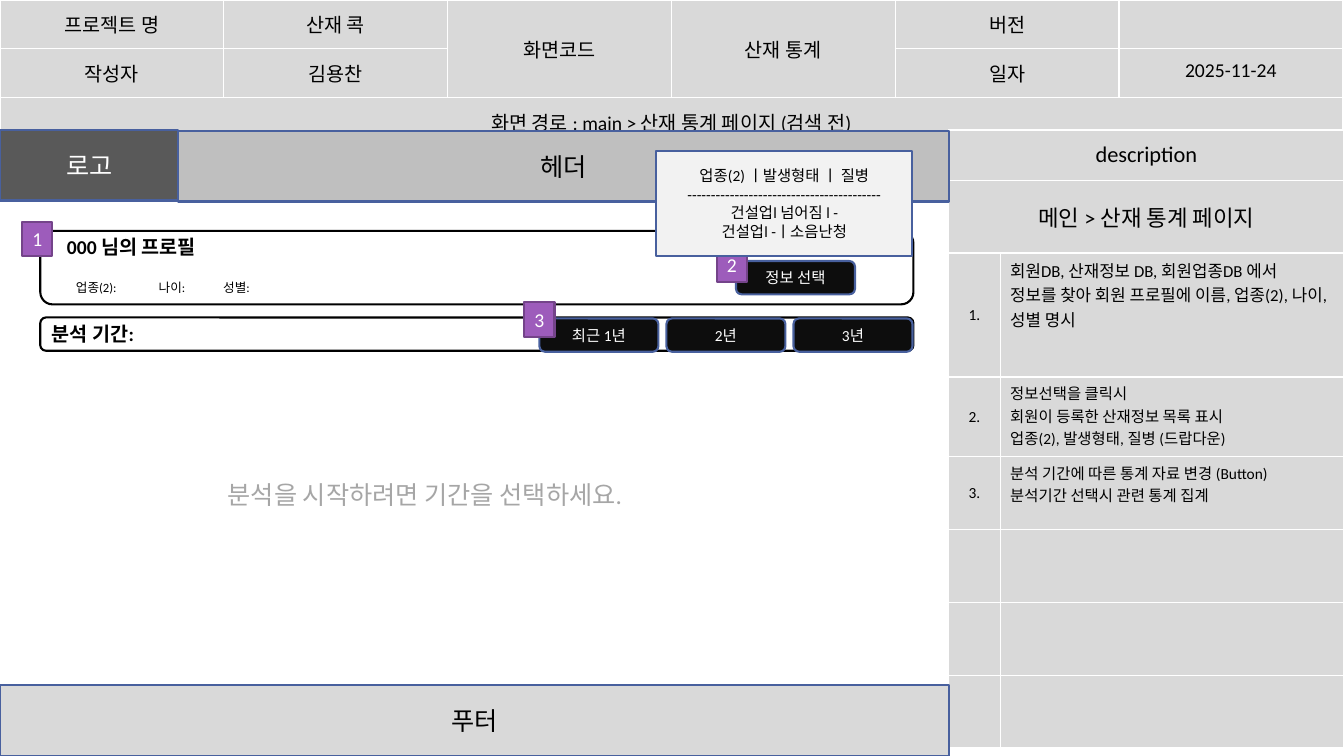
import dataclasses

import lxml.etree
import pptx
import pptx.dml.color
import pptx.enum.shapes
import pptx.enum.text
import pptx.oxml.ns
import pptx.util

Inches = pptx.util.Inches
Pt = pptx.util.Pt
Align = pptx.enum.text.PP_ALIGN
Anchor = pptx.enum.text.MSO_ANCHOR
Kind = pptx.enum.shapes.MSO_SHAPE
qn = pptx.oxml.ns.qn


@dataclasses.dataclass(frozen=True)
class Theme:
    font: str = "Calibri"
    black: str = "000000"
    white: str = "FFFFFF"
    cell: str = "D9D9D9"
    head: str = "BFBFBF"
    logo: str = "595959"
    button: str = "0D0D0D"
    popup: str = "F2F2F2"
    hint: str = "A6A6A6"
    edge: str = "48609E"
    mark: str = "9D5CBB"
    rim: str = "74448A"
    big: int = 18
    title: int = 16
    mid: int = 14
    note: int = 12
    small: int = 11
    tiny: int = 9


def tint(code):
    return pptx.dml.color.RGBColor.from_string(code)


class Board:
    def __init__(self, slide, theme):
        self.slide = slide
        self.theme = theme

    def put(self, frame, text, size, color, align=Align.CENTER, bold=False):
        """Set the text of a frame and format its runs."""
        frame.text = text
        frame.word_wrap = True
        for para in frame.paragraphs:
            para.alignment = align
            for run in para.runs:
                font = run.font
                font.name = self.theme.font
                font.size = Pt(size)
                font.bold = bold
                font.color.rgb = tint(color)

    def box(self, at, text, fill, size, color=None, line=None,
            kind=Kind.RECTANGLE, align=Align.CENTER, bold=False):
        shape = self.slide.shapes.add_shape(kind, *map(Inches, at))
        shape.shadow.inherit = False
        shape.fill.solid()
        shape.fill.fore_color.rgb = tint(fill)
        shape.line.color.rgb = tint(line or self.theme.edge)
        shape.line.width = Pt(1.5)
        frame = shape.text_frame
        frame.vertical_anchor = Anchor.MIDDLE
        self.put(frame, text, size, color or self.theme.black, align, bold)
        return shape

    def panel(self, at, text):
        t = self.theme
        return self.box(at, text, t.white, t.mid, line=t.black, bold=True,
                        kind=Kind.ROUNDED_RECTANGLE, align=Align.LEFT)

    def button(self, left, top, text):
        t = self.theme
        self.box((left, top, 1.18, 0.33), text, t.button, t.small, t.white,
                 kind=Kind.ROUNDED_RECTANGLE)

    def badge(self, left, top, text):
        t = self.theme
        self.box((left, top, 0.3, 0.34), text, t.mark, t.mid, t.white, t.rim)

    def label(self, at, text, size, color):
        area = self.slide.shapes.add_textbox(*map(Inches, at))
        self.put(area.text_frame, text, size, color, Align.LEFT)

    def table(self, left, top, cols, rows):
        """Add an empty table with grey cells and white borders."""
        grid = self.slide.shapes.add_table(
            len(rows), len(cols), Inches(left), Inches(top),
            Inches(sum(cols)), Inches(sum(rows))).table
        grid.first_row = grid.horz_banding = False
        for col, width in zip(grid.columns, cols):
            col.width = Inches(width)
        for row, height in zip(grid.rows, rows):
            row.height = Inches(height)
        for cell in grid.iter_cells():
            cell.fill.solid()
            cell.fill.fore_color.rgb = tint(self.theme.cell)
            self.border(cell)
        return grid

    def border(self, cell):
        props = cell._tc.get_or_add_tcPr()
        for spot, side in enumerate(("lnL", "lnR", "lnT", "lnB")):
            line = lxml.etree.Element(qn("a:" + side), w=str(Pt(1)))
            fill = lxml.etree.SubElement(line, qn("a:solidFill"))
            lxml.etree.SubElement(fill, qn("a:srgbClr"), val=self.theme.white)
            props.insert(spot, line)

    def cell(self, cell, text, size, align=Align.CENTER, anchor=Anchor.MIDDLE):
        self.put(cell.text_frame, text, size, self.theme.black, align)
        cell.vertical_anchor = anchor


def set_tabs(para, stops):
    tabs = lxml.etree.SubElement(para._p.get_or_add_pPr(), qn("a:tabLst"))
    for stop in stops:
        lxml.etree.SubElement(tabs, qn("a:tab"), pos=str(Inches(stop)), algn="l")


def add_info(board):
    """Add the project table along the top."""
    grid = board.table(0, 0, [2.22] * 6, [0.48, 0.48, 0.56])
    for col in (2, 3):
        grid.cell(0, col).merge(grid.cell(1, col))
    grid.cell(2, 0).merge(grid.cell(2, 5))
    texts = (
        ("프로젝트 명", "산재 콕", "화면코드", "산재 통계", "버전", ""),
        ("작성자", "김용찬", "", "", "일자", "2025-11-24"),
        ("화면 경로 : main > 산재 통계 페이지 (검색 전)",),
    )
    for row, line in enumerate(texts):
        for col, text in enumerate(line):
            cell = grid.cell(row, col)
            pad = Inches(0.1 if text else 0)
            cell.margin_left = cell.margin_right = Inches(0.1)
            cell.margin_top = cell.margin_bottom = pad
            if text:
                anchor = Anchor.MIDDLE if col in (2, 3) else Anchor.TOP
                board.cell(cell, text, board.theme.mid, anchor=anchor)


def add_notes(board):
    """Add the description table on the right."""
    t = board.theme
    rows = [0.5, 0.72, 1.23, 0.79, 0.72, 0.73, 0.72, 0.72]
    grid = board.table(9.41, 1.29, [0.51, 3.41], rows)
    for row, text in enumerate(("description", "메인 > 산재 통계 페이지")):
        grid.cell(row, 0).merge(grid.cell(row, 1))
        board.cell(grid.cell(row, 0), text, t.title)
    notes = (
        ("회원DB, 산재정보 DB, 회원업종DB 에서\n"
         "정보를 찾아 회원 프로필에 이름, 업종(2), 나이, 성별 명시", t.note),
        ("정보선택을 클릭시\n회원이 등록한 산재정보 목록 표시\n"
         "업종(2), 발생형태, 질병 (드랍다운)", t.small),
        ("분석 기간에 따른 통계 자료 변경 (Button)\n"
         "분석기간 선택시 관련 통계 집계", t.small),
    )
    for num, (text, size) in enumerate(notes, 1):
        board.cell(grid.cell(num + 1, 0), f"{num}.", t.small)
        board.cell(grid.cell(num + 1, 1), text, size, Align.LEFT, Anchor.TOP)


def add_profile(board):
    shape = board.panel((0.4, 2.29, 8.66, 0.73),
                        "\t000 님의 프로필\n\t업종(2):\t나이:\t성별:")
    frame = shape.text_frame
    frame.margin_top = 0
    name, facts = frame.paragraphs
    set_tabs(name, [0.13])
    set_tabs(facts, [0.22, 1.04, 1.68])
    facts.space_before = Pt(15)
    for run in facts.runs:
        run.font.size = Pt(board.theme.tiny)
        run.font.bold = False


def main():
    deck = pptx.Presentation()
    deck.slide_width, deck.slide_height = Inches(13.33), Inches(7.5)
    t = Theme()
    board = Board(deck.slides.add_slide(deck.slide_layouts[6]), t)

    add_info(board)
    add_notes(board)
    board.box((1.77, 1.3, 7.64, 0.7), "헤더", t.head, t.big)
    board.box((0, 1.29, 1.77, 0.7), "로고", t.logo, t.big, t.white)
    add_profile(board)
    board.badge(0.22, 2.2, "1")

    board.panel((0.4, 3.15, 8.66, 0.33), "분석 기간:")
    for spot, text in enumerate(("최근 1년", "2년", "3년")):
        board.button(5.35 + 1.26 * spot, 3.16, text)
    board.badge(5.2, 3, "3")

    board.box((0, 6.8, 9.41, 0.7), "푸터", t.cell, t.big)
    board.label((2.16, 4.71, 4.51, 0.4),
                "분석을 시작하려면 기간을 선택하세요.", t.big, t.hint)
    board.button(7.3, 2.59, "정보 선택")
    board.badge(7.11, 2.46, "2")
    popup = ("업종(2) ㅣ발생형태 ㅣ 질병", "-" * 41,
             "건설업l 넘어짐 l -", "건설업l -ㅣ소음난청")
    board.box((6.51, 1.5, 2.54, 1.04), "\n".join(popup), t.popup, t.small)
    deck.save("out.pptx")


if __name__ == "__main__":
    main()
